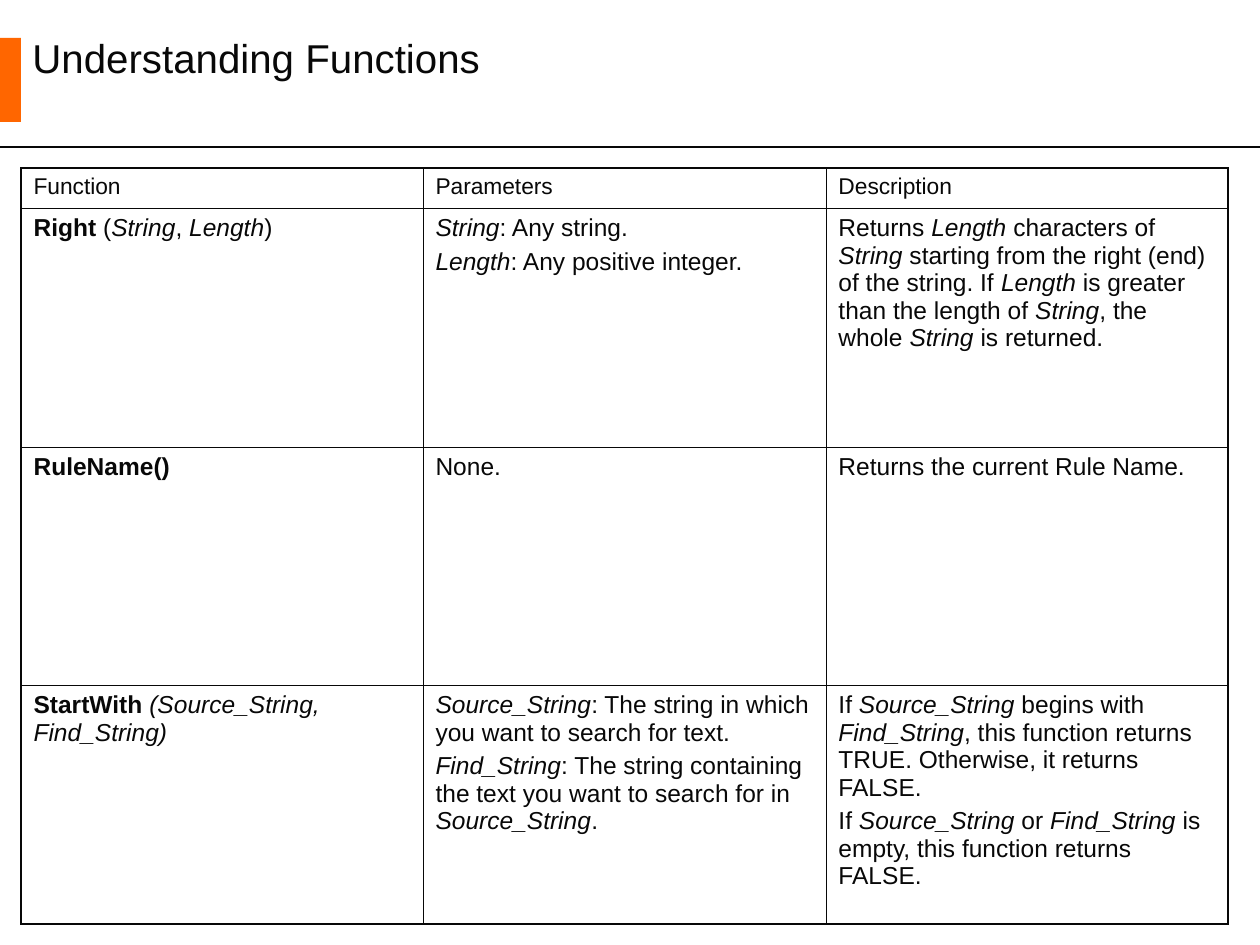
from typing import NamedTuple

from lxml import etree
from pptx import Presentation
from pptx.dml.color import RGBColor
from pptx.enum import shapes, text
from pptx.oxml.ns import qn
from pptx.util import Emu, Pt

EMU_PER_PX = 914400 / 126
FONT = "Arial"
INK = "080808"
ORANGE = "FF6600"
THIN, THICK = 0.45, 1.08


class Row(NamedTuple):
    height: int
    size: int
    space_before: float
    cells: tuple[tuple[str, ...], ...]  # paragraphs of each cell


# In cell text, *...* is italic and #...# is bold
COLUMN_WIDTHS = (402, 403, 402)
ROWS = (
    Row(40, 13, 0, (("Function",), ("Parameters",), ("Description",))),
    Row(239, 14, 3.5, (
        ("#Right #(*String*, *Length*)",),
        ("*String*: Any string.", "*Length*: Any positive integer."),
        ("Returns *Length* characters of *String* starting from the right (end) "
         "of the string. If *Length* is greater than the length of *String*, "
         "the whole *String* is returned.",),
    )),
    Row(238, 14, 3.5, (
        ("#RuleName()#",),
        ("None.",),
        ("Returns the current Rule Name.",),
    )),
    Row(239, 14, 3.5, (
        ("#StartWith #*(Source_String, Find_String)*",),
        ("*Source_String*: The string in which you want to search for text.",
         "*Find_String*: The string containing the text you want to search for "
         "in *Source_String*."),
        ("If *Source_String* begins with *Find_String*, this function returns "
         "TRUE. Otherwise, it returns FALSE.",
         "If *Source_String* or *Find_String* is empty, this function returns "
         "FALSE."),
    )),
)


def px(length: int) -> Emu:
    return Emu(round(length * EMU_PER_PX))


def color(value: str) -> RGBColor:
    return RGBColor.from_string(value)


def set_font(para, size: int) -> None:
    para.font.name = FONT
    para.font.size = Pt(size)
    para.font.color.rgb = color(INK)


def add_spans(para, marked: str) -> None:
    for i, chunk in enumerate(marked.split("#")):
        for j, piece in enumerate(chunk.split("*")):
            if piece:
                span = para.add_run()
                span.text = piece
                if i % 2:
                    span.font.bold = True
                if j % 2:
                    span.font.italic = True


def set_border(cell, side: str, width: float) -> None:
    line = etree.SubElement(cell._tc.get_or_add_tcPr(), qn(f"a:ln{side}"),
                            w=str(Pt(width)))
    fill = etree.SubElement(line, qn("a:solidFill"))
    etree.SubElement(fill, qn("a:srgbClr"), val=INK)


def fill_cell(cell, row: Row, paragraphs: tuple[str, ...]) -> None:
    frame = cell.text_frame
    for i, marked in enumerate(paragraphs):
        para = frame.add_paragraph() if i else frame.paragraphs[0]
        para.space_before = Pt(row.space_before)
        set_font(para, row.size)
        add_spans(para, marked)


def add_function_table(page, left: int, top: int) -> None:
    last_row, last_column = len(ROWS) - 1, len(COLUMN_WIDTHS) - 1
    table = page.shapes.add_table(
        last_row + 1, last_column + 1, px(left), px(top),
        px(sum(COLUMN_WIDTHS)), px(sum(row.height for row in ROWS))).table
    table.first_row = table.horz_banding = False
    for column, width in zip(table.columns, COLUMN_WIDTHS):
        column.width = px(width)
    for r, row in enumerate(ROWS):
        table.rows[r].height = px(row.height)
        for c, paragraphs in enumerate(row.cells):
            cell = table.cell(r, c)
            fill_cell(cell, row, paragraphs)
            outer = {"L": c == 0, "R": c == last_column,
                     "T": r == 0, "B": r == last_row}
            for side, is_outer in outer.items():
                set_border(cell, side, THICK if is_outer else THIN)
            cell.fill.background()


def add_header(page) -> None:
    # Accent block
    block = page.shapes.add_shape(shapes.MSO_SHAPE.RECTANGLE,
                                  px(0), px(38), px(21), px(84))
    block.shadow.inherit = False
    block.fill.solid()
    block.fill.fore_color.rgb = color(ORANGE)
    block.line.fill.background()

    # Rule below the title
    rule = page.shapes.add_connector(shapes.MSO_CONNECTOR.STRAIGHT,
                                     px(0), px(147), px(1260), px(147))
    rule.line.color.rgb = color(INK)
    rule.line.width = Pt(0.75)
    etree.SubElement(rule._element.spPr, qn("a:effectLst"))

    # Title
    box = page.shapes.add_textbox(px(20), px(27), px(878), px(66))
    frame = box.text_frame
    frame.word_wrap = True
    frame.vertical_anchor = text.MSO_ANCHOR.TOP
    para = frame.paragraphs[0]
    set_font(para, 23)
    add_spans(para, "Understanding Functions")


def main() -> None:
    deck = Presentation()
    deck.slide_width, deck.slide_height = px(1260), px(945)
    page = deck.slides.add_slide(deck.slide_layouts[6])
    add_header(page)
    add_function_table(page, 21, 168)
    deck.save("out.pptx")


if __name__ == "__main__":
    main()
